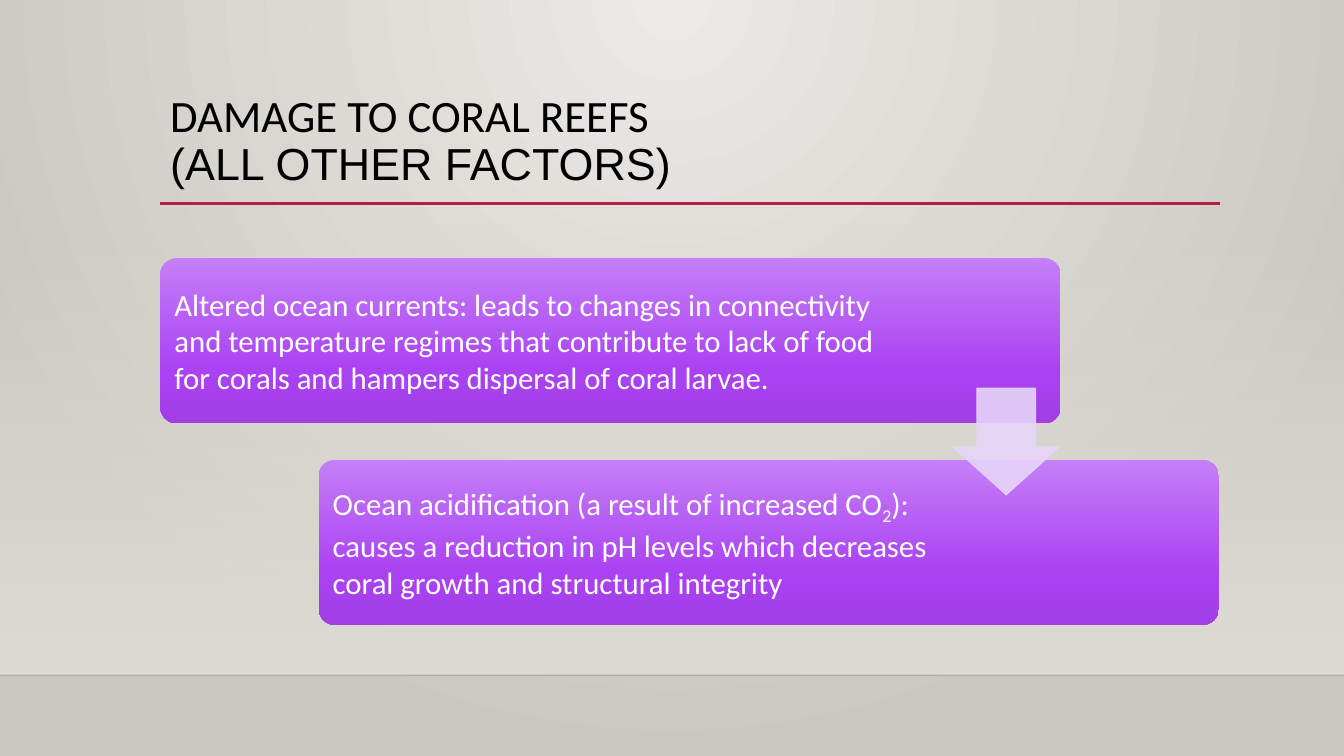
"""Build the slide on damage to coral reefs."""
from lxml import etree
from pptx import Presentation
from pptx.dml.color import RGBColor
from pptx.enum.shapes import MSO_CONNECTOR, MSO_SHAPE
from pptx.enum.text import MSO_ANCHOR
from pptx.oxml import parse_xml
from pptx.oxml.ns import nsdecls, qn
from pptx.util import Inches, Pt

STRAIGHT = MSO_CONNECTOR.STRAIGHT
RECTANGLE = MSO_SHAPE.RECTANGLE
ROUNDED = MSO_SHAPE.ROUNDED_RECTANGLE
DOWN_ARROW = MSO_SHAPE.DOWN_ARROW
TOP = MSO_ANCHOR.TOP
MIDDLE = MSO_ANCHOR.MIDDLE

BLACK = RGBColor(0x00, 0x00, 0x00)
WHITE = RGBColor(0xFF, 0xFF, 0xFF)
CRIMSON = RGBColor(0xB7, 0x1E, 0x42)
LILAC = RGBColor(0xE7, 0xD5, 0xF9)
SAND = RGBColor(0xDF, 0xDB, 0xD5)
PALE_STONE = RGBColor(0xEC, 0xEA, 0xE7)
STONE = RGBColor(0xCA, 0xC7, 0xC1)
LIGHT_PURPLE = RGBColor(0xC5, 0x7F, 0xF7)
PURPLE = RGBColor(0xAA, 0x41, 0xF3)
DEEP_PURPLE = RGBColor(0xA1, 0x3F, 0xE5)

DOWNWARD = '<a:lin ang="5400000" scaled="0"/>'
FROM_TOP_CENTRE = ('<a:path path="circle">'
                   '<a:fillToRect l="43000" t="0" r="43000" b="100000"/></a:path>')
CARD_STOPS = [(0, LIGHT_PURPLE, 100), (69, PURPLE, 100), (100, DEEP_PURPLE, 100)]
CARD_WIDTH, CARD_HEIGHT = 8.93, 1.64
CARDS = [
    (1.59, 2.56, 7.24, [
        ("Altered ocean currents: leads to changes in connectivity and temperature "
         "regimes that contribute to lack of food for corals and hampers dispersal "
         "of coral larvae.", 0)]),
    (3.16, 4.56, 6.19, [
        ("Ocean acidification (a result of increased CO", 0),
        ("2", -25),
        ("): causes a reduction in pH levels which decreases coral growth and "
         "structural integrity", 0)]),
]


def set_gradient(fill, parent, stops, direction):
    """Fill the parent element with stops of position, colour and opacity."""
    fill.background()
    marks = "".join(
        f'<a:gs pos="{position * 1000}"><a:srgbClr val="{colour}">'
        f'<a:alpha val="{opacity * 1000}"/></a:srgbClr></a:gs>'
        for position, colour, opacity in stops)
    gradient = parse_xml(f'<a:gradFill {nsdecls("a")} rotWithShape="1">'
                         f'<a:gsLst>{marks}</a:gsLst>{direction}</a:gradFill>')
    parent.replace(parent.find(qn("a:noFill")), gradient)


def set_opacity(element, percent):
    """Set the opacity of every colour inside the element."""
    for colour in element.iter(qn("a:srgbClr")):
        etree.SubElement(colour, qn("a:alpha"), val=str(percent * 1000))


def add_block(page, kind, left, top, width, height):
    """Add a preset shape without shadow or outline."""
    block = page.shapes.add_shape(kind, Inches(left), Inches(top),
                                  Inches(width), Inches(height))
    block.shadow.inherit = False
    block.line.fill.background()
    return block


def add_rule(page, left, right, top, colour, points, opacity=100):
    """Add a horizontal line."""
    rule = page.shapes.add_connector(STRAIGHT, Inches(left), Inches(top),
                                     Inches(right), Inches(top))
    rule.line.color.rgb = colour
    rule.line.width = Pt(points)
    set_opacity(rule.element.spPr, opacity)
    etree.SubElement(rule.element.spPr, qn("a:effectLst"))


def add_text_box(page, left, top, width, height, anchor, size, colour):
    """Add a wrapping text box and return its first paragraph."""
    box = page.shapes.add_textbox(Inches(left), Inches(top),
                                  Inches(width), Inches(height))
    frame = box.text_frame
    frame.word_wrap = True
    frame.vertical_anchor = anchor
    para = frame.paragraphs[0]
    para.font.size = Pt(size)
    para.font.color.rgb = colour
    return frame, para


def add_title(page):
    """Add the two-line title, each line in its own font."""
    _, para = add_text_box(page, 1.59, 0.88, 10.5, 1.15, TOP, 32, BLACK)
    para.line_spacing = 0.9
    for index, (text, font) in enumerate([("DAMAGE TO CORAL REEFS", "Calibri"),
                                          ("(ALL OTHER FACTORS)", "Arial")]):
        if index:
            para.add_line_break()
        span = para.add_run()
        span.text = text
        span.font.name = font
        span.font.size = Pt(32)


def add_card(page, left, top, text_width, spans):
    """Add a purple card with its text."""
    card = add_block(page, ROUNDED, left, top, CARD_WIDTH, CARD_HEIGHT)
    card.adjustments[0] = 0.1
    set_gradient(card.fill, card.element.spPr, CARD_STOPS, DOWNWARD)
    frame, para = add_text_box(page, left + 0.05, top + 0.05, text_width,
                               CARD_HEIGHT - 0.1, MIDDLE, 22, WHITE)
    frame.margin_left = frame.margin_right = Inches(0.09)
    frame.margin_top = frame.margin_bottom = Inches(0.09)
    para.font.name = "Calibri"
    for text, baseline in spans:
        span = para.add_run()
        span.text = text
        if baseline:
            span._r.get_or_add_rPr().set("baseline", str(baseline * 1000))


def add_arrow(page):
    """Add the translucent arrow that links the cards."""
    arrow = add_block(page, DOWN_ARROW, 9.45, 3.85, 1.06, 1.06)
    arrow.adjustments[0] = 0.55
    arrow.adjustments[1] = 0.45
    arrow.fill.solid()
    arrow.fill.fore_color.rgb = LILAC
    arrow.line.color.rgb = LILAC
    arrow.line.width = Pt(0.75)
    set_opacity(arrow.element.spPr, 90)


def add_backdrop(page):
    """Paint the background, the wall shade and the floor edge."""
    fill = page.background.fill
    properties = page.element.find(".//" + qn("p:bgPr"))
    set_gradient(fill, properties, [(0, PALE_STONE, 100), (100, STONE, 100)],
                 FROM_TOP_CENTRE)
    wall = add_block(page, RECTANGLE, 0, 2.21, 13.33, 4.49)
    set_gradient(wall.fill, wall.element.spPr, [(0, SAND, 0), (100, SAND, 100)],
                 DOWNWARD)
    add_rule(page, 0, 13.33, 6.7, BLACK, 1, 20)


def main():
    """Build and save the deck."""
    deck = Presentation()
    deck.slide_width = Inches(13.33)
    deck.slide_height = Inches(7.5)
    page = deck.slides.add_slide(deck.slide_layouts[6])
    add_backdrop(page)
    add_rule(page, 1.59, 12.1, 2.02, CRIMSON, 2.5)
    add_title(page)
    for card in CARDS:
        add_card(page, *card)
    add_arrow(page)
    deck.save("out.pptx")


if __name__ == "__main__":
    main()
